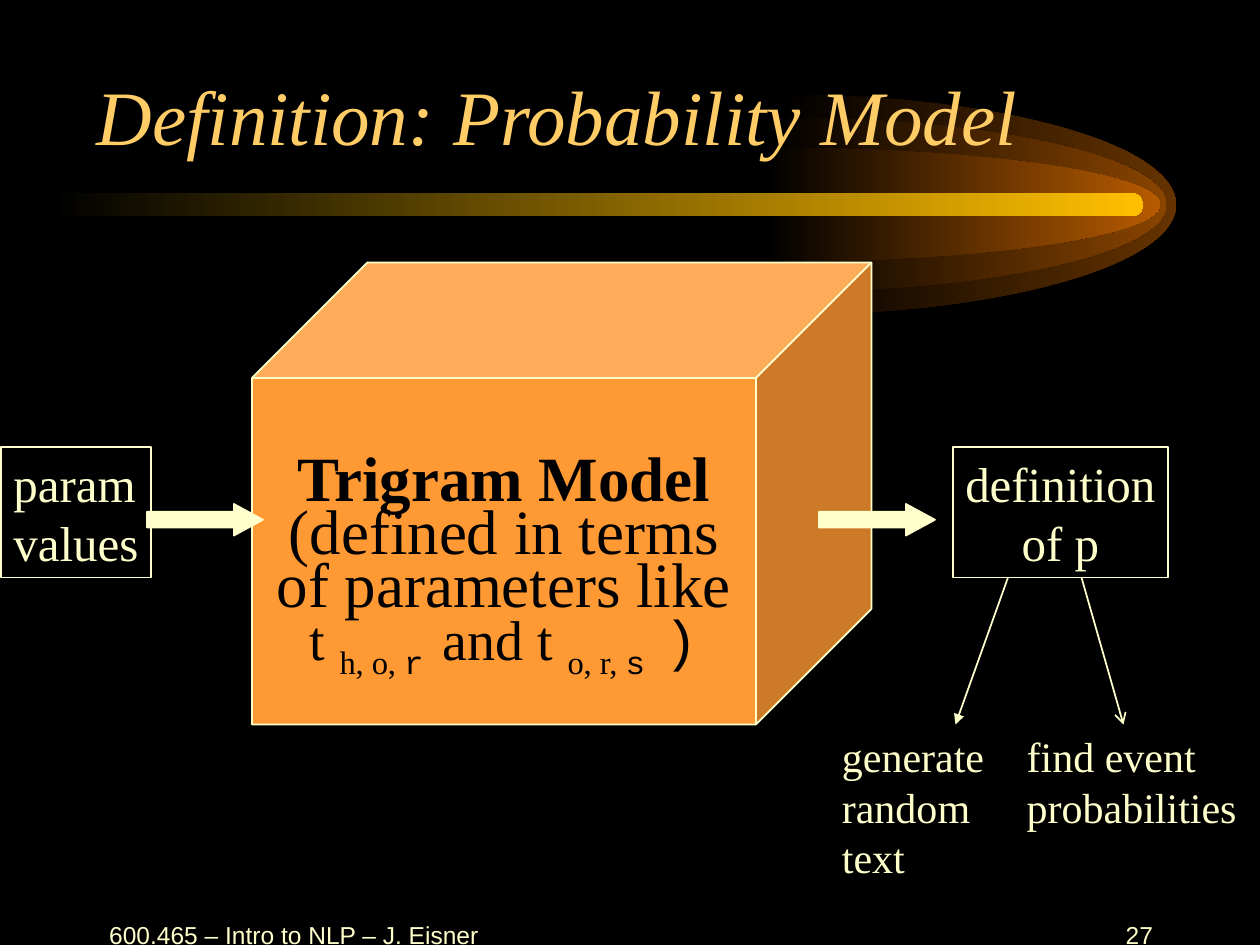
from collections import namedtuple

from lxml.etree import SubElement
from pptx import Presentation
from pptx.dml.color import RGBColor
from pptx.enum.shapes import MSO_CONNECTOR, MSO_SHAPE
from pptx.enum.text import MSO_ANCHOR, MSO_AUTO_SIZE, PP_ALIGN
from pptx.oxml.ns import qn
from pptx.util import Inches, Pt

BLACK = RGBColor(0x00, 0x00, 0x00)
CREAM = RGBColor(0xFF, 0xFF, 0xCC)
GOLD = RGBColor(0xFF, 0xCC, 0x66)
ORANGE = RGBColor(0xFF, 0x99, 0x33)
AMBER = RGBColor(0xFF, 0xBF, 0x00)
GLOWS = (RGBColor(0x66, 0x33, 0x00), RGBColor(0x89, 0x44, 0x00), RGBColor(0xB7, 0x5B, 0x00))
SERIF, SANS, MONO = "Times New Roman", "Arial", "Courier New"
CELL = Inches(1) / 12
COLUMNS, ROWS = 120, 90
HALF_ELLIPSE = ((0, -1), (0.55, -1), (1, -0.55), (1, 0), (1, 0.55), (0.55, 1), (0, 1))

Box = namedtuple("Box", "column row columns rows")


def grid(*counts):
    """Convert counts of grid cells to lengths."""
    return [round(count * CELL) for count in counts]


def style(font, size, color=CREAM, name=SERIF, bold=False, italic=False):
    """Set the look of a font."""
    font.size, font.name, font.bold, font.italic = Pt(size), name, bold, italic
    font.color.rgb = color


def write(frame, wording, size, align=PP_ALIGN.LEFT, name=SERIF, wrap=False):
    """Fill a text frame with evenly styled paragraphs."""
    frame.text = wording
    frame.word_wrap = wrap
    frame.auto_size = MSO_AUTO_SIZE.NONE if wrap else MSO_AUTO_SIZE.SHAPE_TO_FIT_TEXT
    for paragraph in frame.paragraphs:
        paragraph.alignment = align
        for run in paragraph.runs:
            style(run.font, size, name=name)


def fade(shape, color):
    """Fill a shape with a gradient from black on the left to a colour."""
    shape.shadow.inherit = False
    shape.line.fill.background()
    shape.fill.gradient()
    shape.fill.gradient_angle = 0
    for stop, position, shade in zip(shape.fill.gradient_stops, (0, 1), (BLACK, color)):
        stop.position = position
        stop.color.rgb = shade


def curve(shape):
    """Turn each three straight segments of a freeform into one Bézier curve."""
    segments = list(shape._element.iter(qn("a:lnTo")))
    for first, second, third in zip(segments[::3], segments[1::3], segments[2::3]):
        first.tag = qn("a:cubicBezTo")
        for segment in (second, third):
            first.append(segment[0])
            segment.getparent().remove(segment)


def outlined(slide, preset, box, fill=None):
    """Add a preset shape with a thin cream outline."""
    shape = slide.shapes.add_shape(preset, *grid(*box))
    shape.shadow.inherit = False
    shape.line.color.rgb, shape.line.width = CREAM, Pt(1)
    if fill is None:
        shape.fill.background()
    else:
        shape.fill.solid()
        shape.fill.fore_color.rgb = fill
    return shape


def add_comet(slide, box):
    """Draw the glowing half ellipses and the bar that runs into them."""
    middle = box.row + box.rows / 2
    reach = 37.6
    for glow, inset, half_height in zip(GLOWS, (0, 0.9, 1.5), (10.5, 8.35, 5.45)):
        center = box.column + box.columns - inset - reach
        points = [grid(center + reach * x, middle + half_height * y) for x, y in HALF_ELLIPSE]
        builder = slide.shapes.build_freeform(*points[0])
        builder.add_line_segments(points[1:], close=True)
        tail = builder.convert_to_shape()
        curve(tail)
        fade(tail, glow)
    bar = slide.shapes.add_shape(
        MSO_SHAPE.ROUNDED_RECTANGLE, *grid(box.column, middle - 1.1, 103.9, 2.2))
    bar.adjustments[0] = 0.5
    fade(bar, AMBER)


def add_title(slide, box, wording):
    """Place and format the slide title."""
    title = slide.shapes.title
    title.left, title.top, title.width, title.height = grid(*box)
    frame = title.text_frame
    frame.text = wording
    frame.auto_size = MSO_AUTO_SIZE.NONE
    frame.vertical_anchor = MSO_ANCHOR.BOTTOM
    frame.paragraphs[0].alignment = PP_ALIGN.LEFT
    style(frame.paragraphs[0].runs[0].font, 44, GOLD, italic=True)


def add_footer(slide, box):
    """Write the course on the left and the slide number on the right."""
    course_columns, number_columns = 38, 25
    number_column = box.column + box.columns - number_columns
    for column, columns, wording, align in (
        (box.column, course_columns, "600.465 – Intro to NLP – J. Eisner", PP_ALIGN.CENTER),
        (number_column, number_columns, "27", PP_ALIGN.RIGHT),
    ):
        note = slide.shapes.add_textbox(*grid(column, box.row, columns, box.rows))
        note.text_frame.vertical_anchor = MSO_ANCHOR.MIDDLE
        write(note.text_frame, wording, 14, align, SANS, wrap=True)


def add_model(slide, box):
    """Draw the cube that names the model and its parameters."""
    cube = outlined(slide, MSO_SHAPE.CUBE, box, ORANGE)
    cube.adjustments[0] = 0.25
    frame = cube.text_frame
    frame.word_wrap = True
    frame.vertical_anchor = MSO_ANCHOR.MIDDLE
    frame.margin_top = Inches(0.27)
    frame.text = "Trigram Model"
    heading = frame.paragraphs[0]
    style(heading.runs[0].font, 36, BLACK, bold=True)
    detail = frame.add_paragraph()
    for wording, size, name, lowered in (
        ("(defined in terms of parameters like ", 36, SERIF, False),
        ("t ", 32, SERIF, False),
        ("h, o, ", 32, SERIF, True),
        ("r ", 32, MONO, True),
        ("and t ", 32, SERIF, False),
        ("o, r, ", 32, SERIF, True),
        ("s ", 32, MONO, True),
        (")", 32, MONO, False),
    ):
        run = detail.add_run()
        run.text = wording
        style(run.font, size, BLACK, name)
        if lowered:
            run._r.get_or_add_rPr().set("baseline", "-25000")
    for paragraph in (heading, detail):
        paragraph.alignment = PP_ALIGN.CENTER
        paragraph.line_spacing = 0.7


def add_port(slide, box, arrow_column, wording, align):
    """Draw a labelled box and the block arrow beside it."""
    arrow_row = box.row + 5.4
    arrow = outlined(slide, MSO_SHAPE.RIGHT_ARROW, Box(arrow_column, arrow_row, 11.04, 3), CREAM)
    arrow.adjustments[1] = 0.92
    label = outlined(slide, MSO_SHAPE.RECTANGLE, box)
    label.text_frame.vertical_anchor = MSO_ANCHOR.TOP
    write(label.text_frame, wording, 28, align)


def add_uses(slide, box):
    """Point from the definition to its two uses."""
    uses_row = box.row + 14
    for start, end, head, column, columns, rows, wording in (
        (17, 12, "triangle", 0, 16, 15.6, "generate\nrandom\ntext"),
        (24, 28, "arrow", 17.6, 22.5, 10.8, "find event\nprobabilities"),
    ):
        pointer = slide.shapes.add_connector(
            MSO_CONNECTOR.STRAIGHT,
            *grid(box.column + start, box.row, box.column + end, uses_row))
        pointer.line.color.rgb, pointer.line.width = CREAM, Pt(1)
        SubElement(pointer.line._get_or_add_ln(), qn("a:tailEnd"), type=head)
        SubElement(pointer._element.spPr, qn("a:effectLst"))
        use = slide.shapes.add_textbox(*grid(box.column + column, uses_row, columns, rows))
        write(use.text_frame, wording, 24)


def main():
    """Build the slide and save it."""
    deck = Presentation()
    deck.slide_width, deck.slide_height = grid(COLUMNS, ROWS)
    slide = deck.slides.add_slide(deck.slide_layouts[5])
    slide.background.fill.solid()
    slide.background.fill.fore_color.rgb = BLACK
    add_comet(slide, Box(5, 9, 107, 21))
    add_footer(slide, Box(9, 86, 102, 6))
    add_title(slide, Box(8, 0.95, 102, 15), "Definition: Probability Model")
    title = slide.shapes.title._element
    title.getparent().append(title)
    add_model(slide, Box(24, 25, 59, 44))
    add_port(slide, Box(0.1, 42.6, 14.3, 12.4), 14, "param\nvalues", PP_ALIGN.LEFT)
    add_port(slide, Box(90.74, 42.6, 20.5, 12.4), 78, "definition\nof p", PP_ALIGN.CENTER)
    add_uses(slide, Box(79, 55, 40, 30))
    deck.save("out.pptx")


if __name__ == "__main__":
    main()
